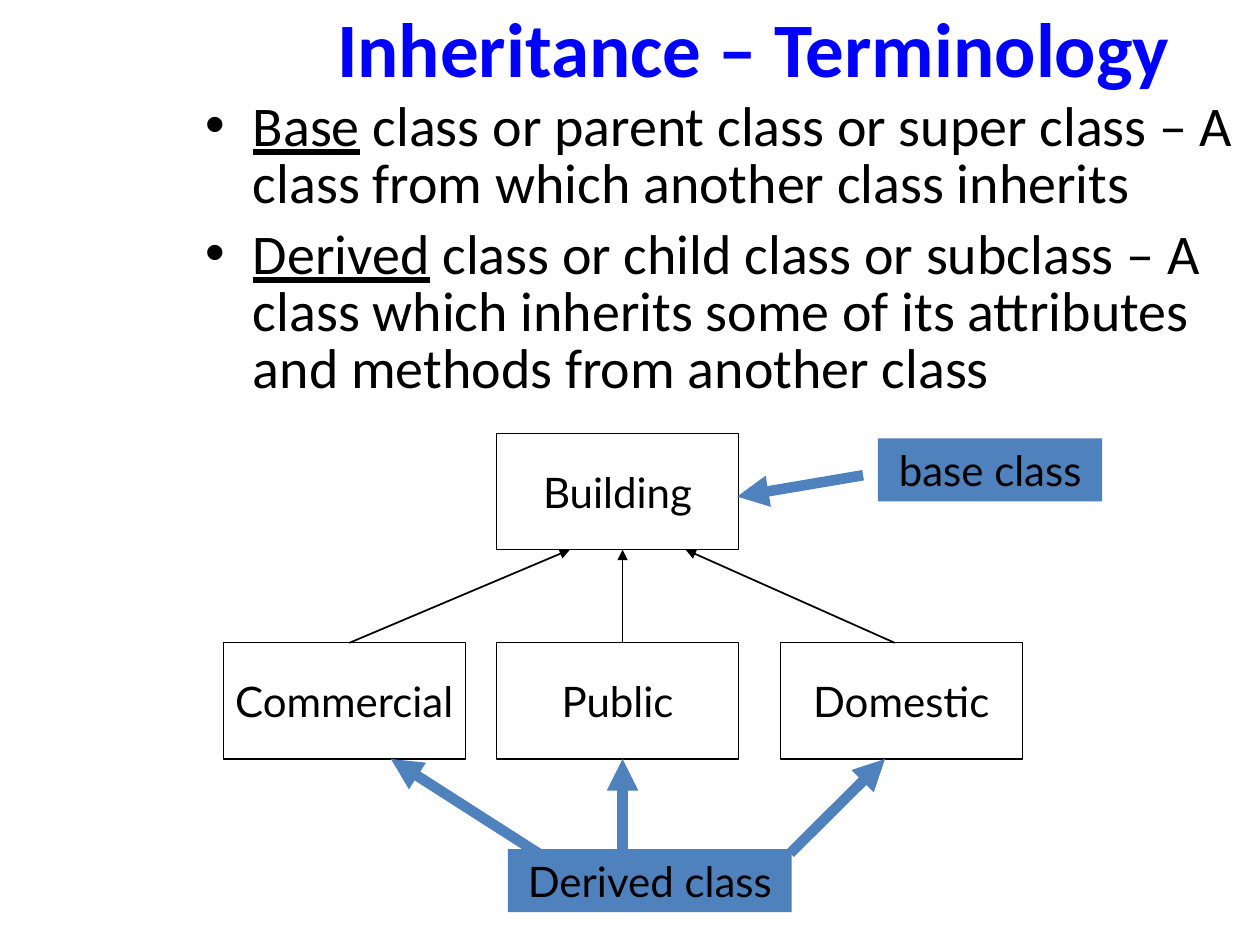
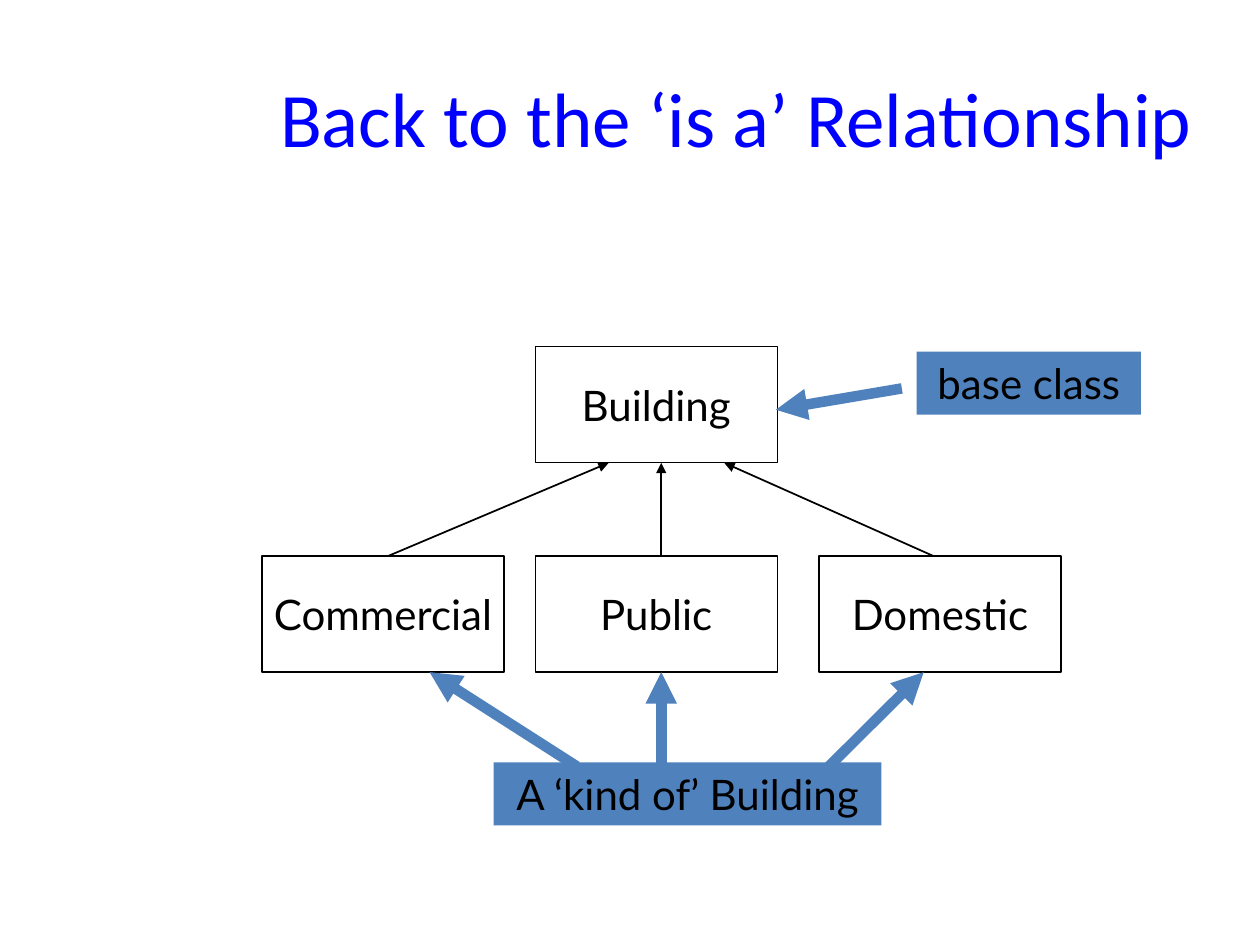
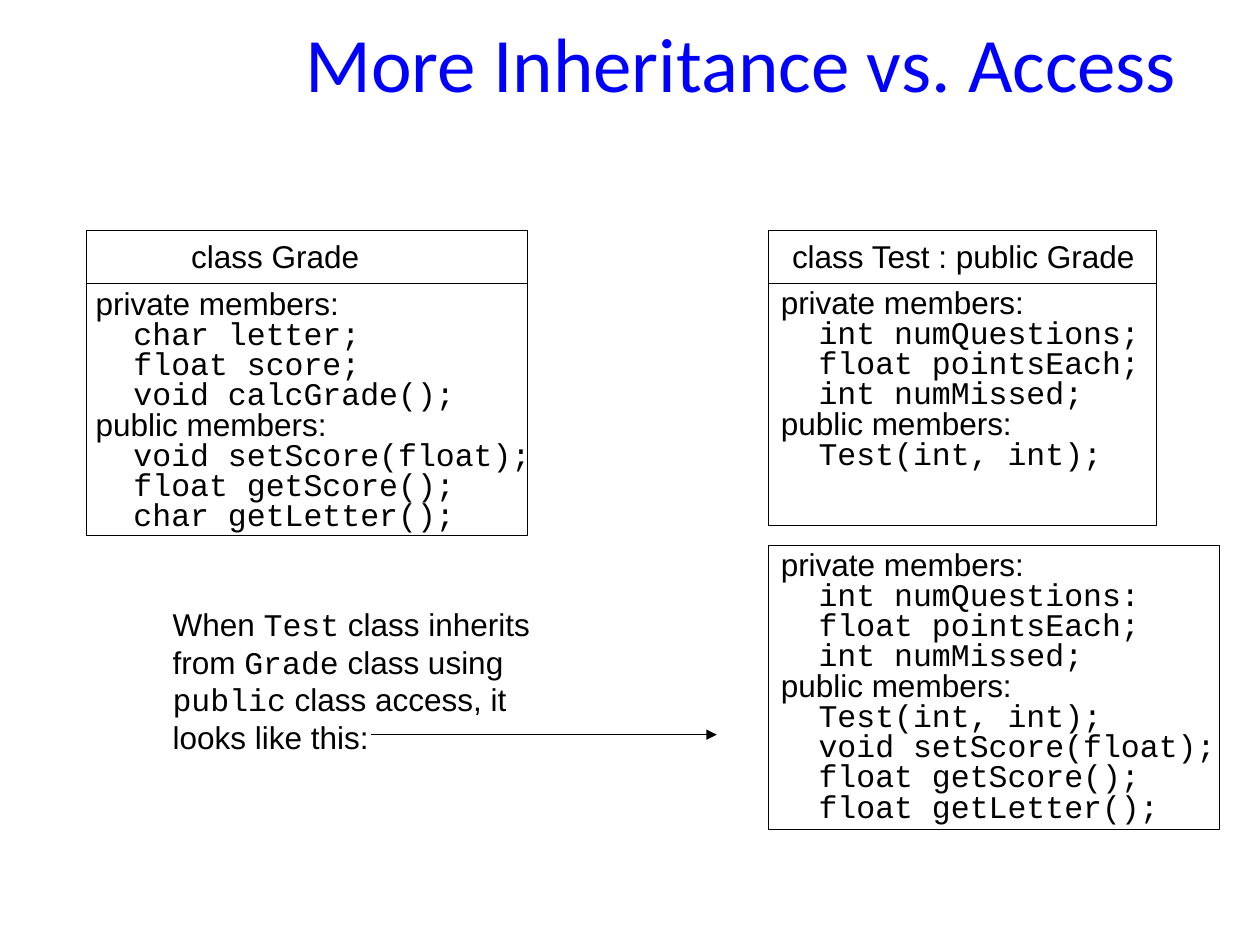
from dataclasses import dataclass

from lxml.etree import SubElement
from pptx import Presentation
from pptx.dml.color import RGBColor
from pptx.enum.shapes import MSO_CONNECTOR, MSO_SHAPE
from pptx.enum.text import MSO_ANCHOR, MSO_AUTO_SIZE, PP_ALIGN
from pptx.oxml.ns import qn
from pptx.util import Cm, Pt

BLACK = RGBColor(0x00, 0x00, 0x00)
TITLE_BLUE = RGBColor(0x00, 0x00, 0xFF)
LABEL_BLUE = RGBColor(0x4F, 0x81, 0xBD)

HEADING_FONT = "Calibri"
DIAGRAM_FONT = "Lato"
TEXT_FONT = "Arial"
CODE_FONT = "Courier New"

CONTENT_LAYOUT, TITLE_LAYOUT = 1, 5


@dataclass(frozen=True)
class Area:
    """A rectangle in centimetres."""
    left: float
    top: float
    width: float
    height: float

    def shifted(self, x: float, y: float) -> "Area":
        return Area(self.left + x, self.top + y, self.width, self.height)

    def lengths(self) -> tuple:
        return Cm(self.left), Cm(self.top), Cm(self.width), Cm(self.height)


@dataclass(frozen=True)
class Arrow:
    """An arrow in centimetres, with its head at the end."""
    start: tuple[float, float]
    end: tuple[float, float]
    color: RGBColor = BLACK
    weight: float = 1


@dataclass(frozen=True)
class Span:
    text: str
    font: str
    underline: bool = False


@dataclass(frozen=True)
class Members:
    """A framed list of the private and public members of a class."""
    text_area: Area
    frame: Area
    private: tuple[str, ...]
    public: tuple[str, ...]


@dataclass(frozen=True)
class Header:
    text: str
    text_area: Area
    frame: Area


# Class diagram, measured from its top left corner
NODE_WIDTH, NODE_HEIGHT = 4.88, 2.34
CHILD_TOP = 4.22
CHILD_BOTTOM = CHILD_TOP + NODE_HEIGHT
MIDDLE_LEFT, MIDDLE_X = 5.51, 8.05
NODES = {
    "Building": (MIDDLE_LEFT, 0),
    "Commercial": (0, CHILD_TOP),
    "Public": (MIDDLE_LEFT, CHILD_TOP),
    "Domestic": (11.23, CHILD_TOP),
}
BASE_LABEL = Area(13.2, 0.1, 4.52, 1.27)
KIND_LABEL_TOP, KIND_ARROW_TOP = 8.38, 8.46
INHERITANCE_ARROWS = [
    Arrow((child_x, CHILD_TOP), (parent_x, NODE_HEIGHT))
    for child_x, parent_x in ((2.54, 6.99), (MIDDLE_X, MIDDLE_X), (13.54, 9.32))
]
LABEL_ARROWS = [Arrow((12.9, 0.84), (10.36, 1.27), LABEL_BLUE, 6)] + [
    Arrow((label_x, KIND_ARROW_TOP), (child_x, CHILD_BOTTOM), LABEL_BLUE, 6)
    for label_x, child_x in ((6.35, 3.38), (MIDDLE_X, MIDDLE_X), (11.43, 13.34))
]

DEFINITIONS = [
    [Span("Base", HEADING_FONT, True),
     Span(" class or parent class or super class – A class from which "
          "another class inherits", HEADING_FONT)],
    [Span("Derived", HEADING_FONT, True),
     Span(" class or child class or subclass – A class which inherits some "
          "of its attributes and methods from another class", HEADING_FONT)],
]

HEADERS = [
    Header("class Grade", Area(3.53, 4.65, 4.04, 1.02),
           Area(1.75, 4.65, 8.89, 1.07)),
    Header("class Test : public Grade", Area(15.29, 4.65, 8.26, 1.02),
           Area(15.49, 4.65, 7.82, 1.07)),
]
MEMBER_LISTS = [
    Members(Area(1.68, 5.74, 9.35, 5.13), Area(1.75, 5.72, 8.89, 5.08),
            ("char letter;", "float score;", "void calcGrade();"),
            ("void setScore(float);", "float getScore();",
             "char getLetter();")),
    Members(Area(15.49, 5.72, 7.82, 3.91), Area(15.49, 5.72, 7.82, 4.88),
            ("int numQuestions;", "float pointsEach;", "int numMissed;"),
            ("Test(int, int);",)),
    Members(Area(15.49, 11, 9.73, 5.74), Area(15.49, 11, 9.09, 5.72),
            ("int numQuestions:", "float pointsEach;", "int numMissed;"),
            ("Test(int, int);", "void setScore(float);", "float getScore();",
             "float getLetter();")),
]
NOTE = [
    [Span("When ", TEXT_FONT), Span("Test", CODE_FONT),
     Span(" class inherits", TEXT_FONT)],
    [Span("from ", TEXT_FONT), Span("Grade", CODE_FONT),
     Span(" class using", TEXT_FONT)],
    [Span("public", CODE_FONT),
     Span(" class access, it looks like this:", TEXT_FONT)],
]


def write(frame, lines: list[list[Span]], size: float, color=BLACK,
          align=PP_ALIGN.LEFT, bold=False, spacing=1.0, gap=0) -> None:
    """Write one paragraph per line, with the gap between paragraphs."""
    frame.auto_size = MSO_AUTO_SIZE.NONE
    for index, spans in enumerate(lines):
        para = frame.add_paragraph() if index else frame.paragraphs[0]
        para.alignment = align
        para.line_spacing = spacing
        para.space_before = Pt(gap if index else 0)
        para.font.size = Pt(size)
        para.font.bold = bold
        para.font.color.rgb = color
        fonts = {span.font for span in spans}
        if len(fonts) == 1:
            para.font.name = spans[0].font
        for span in spans:
            run = para.add_run()
            run.text = span.text
            if len(fonts) > 1:
                run.font.name = span.font
            if span.underline:
                run.font.underline = True


def place(shape, area: Area) -> None:
    shape.left, shape.top, shape.width, shape.height = area.lengths()


def add_page(deck, layout: int, title: str, area: Area, bold=False):
    page = deck.slides.add_slide(deck.slide_layouts[layout])
    box = page.shapes.title
    place(box, area)
    box.text_frame.vertical_anchor = MSO_ANCHOR.MIDDLE
    write(box.text_frame, [[Span(title, HEADING_FONT)]], 44, TITLE_BLUE,
          PP_ALIGN.CENTER, bold)
    return page


def add_box(page, area: Area, fill=None):
    """Add a filled rectangle, or a thin black outline when there is no fill."""
    box = page.shapes.add_shape(MSO_SHAPE.RECTANGLE, *area.lengths())
    box.shadow.inherit = False
    if fill is None:
        box.fill.background()
        box.line.color.rgb = BLACK
        box.line.width = Pt(0.75)
    else:
        box.fill.solid()
        box.fill.fore_color.rgb = fill
        box.line.fill.background()
    return box


def add_labelled_box(page, text: str, area: Area, fill=None) -> None:
    frame = add_box(page, area, fill).text_frame
    frame.word_wrap = False
    frame.vertical_anchor = MSO_ANCHOR.MIDDLE
    write(frame, [[Span(text, DIAGRAM_FONT)]], 24, align=PP_ALIGN.CENTER)


def add_text(page, area: Area, lines: list[list[Span]],
             align=PP_ALIGN.LEFT, spacing=1.0) -> None:
    frame = page.shapes.add_textbox(*area.lengths()).text_frame
    frame.word_wrap = True
    write(frame, lines, 18, align=align, spacing=spacing)


def add_arrow(page, arrow: Arrow, x: float = 0, y: float = 0) -> None:
    (start_x, start_y), (end_x, end_y) = arrow.start, arrow.end
    line = page.shapes.add_connector(
        MSO_CONNECTOR.STRAIGHT, Cm(start_x + x), Cm(start_y + y),
        Cm(end_x + x), Cm(end_y + y))
    line.line.color.rgb = arrow.color
    line.line.width = Pt(arrow.weight)
    properties = line._element.spPr
    SubElement(properties.find(qn("a:ln")), qn("a:tailEnd"), type="triangle")
    SubElement(properties, qn("a:effectLst"))


def add_class_diagram(page, x: float, y: float, kind: str,
                      kind_left: float, kind_width: float) -> None:
    add_labelled_box(page, "base class", BASE_LABEL.shifted(x, y), LABEL_BLUE)
    for name, (left, top) in NODES.items():
        node = Area(left, top, NODE_WIDTH, NODE_HEIGHT)
        add_labelled_box(page, name, node.shifted(x, y))
    kind_area = Area(kind_left, KIND_LABEL_TOP, kind_width, BASE_LABEL.height)
    add_labelled_box(page, kind, kind_area.shifted(x, y), LABEL_BLUE)
    for arrow in INHERITANCE_ARROWS + LABEL_ARROWS:
        add_arrow(page, arrow, x, y)


def add_header(page, header: Header) -> None:
    add_text(page, header.text_area, [[Span(header.text, TEXT_FONT)]],
             PP_ALIGN.CENTER)
    add_box(page, header.frame)


def add_members(page, members: Members) -> None:
    lines = []
    for access, names in (("private", members.private),
                          ("public", members.public)):
        lines.append([Span(f"{access} members:", TEXT_FONT)])
        lines += [[Span(f"  {name}", CODE_FONT)] for name in names]
    add_text(page, members.text_area, lines, spacing=0.8)
    add_box(page, members.frame)


def add_terminology_page(deck) -> None:
    page = add_page(deck, CONTENT_LAYOUT, "Inheritance – Terminology",
                    Area(5, 0, 20.4, 1.9), bold=True)
    body = page.placeholders[1]
    place(body, Area(3.89, 1.9, 21.44, 6.6))
    write(body.text_frame, DEFINITIONS, 32, spacing=0.85, gap=8)
    add_class_diagram(page, 4.5, 8.74, "Derived class", 5.74, 5.72)


def add_relationship_page(deck) -> None:
    page = add_page(deck, TITLE_LAYOUT, "Back to the ‘is a’ Relationship",
                    Area(4.29, 0.76, 21.11, 3.18))
    add_class_diagram(page, 5.28, 6.99, "A ‘kind of’ Building", 4.67, 7.82)


def add_access_page(deck) -> None:
    page = add_page(deck, TITLE_LAYOUT, "More Inheritance vs. Access",
                    Area(4.5, 0.3, 20.9, 1.9))
    for members in MEMBER_LISTS:
        add_members(page, members)
    for header in HEADERS:
        add_header(page, header)
    add_text(page, Area(3.23, 12.07, 8.69, 3.3), NOTE)
    add_arrow(page, Arrow((7.47, 14.81), (14.45, 14.81), weight=0.75))


def main() -> None:
    deck = Presentation()
    deck.slide_width, deck.slide_height = Cm(25.4), Cm(19.05)
    add_terminology_page(deck)
    add_relationship_page(deck)
    add_access_page(deck)
    deck.save("out.pptx")


if __name__ == "__main__":
    main()
